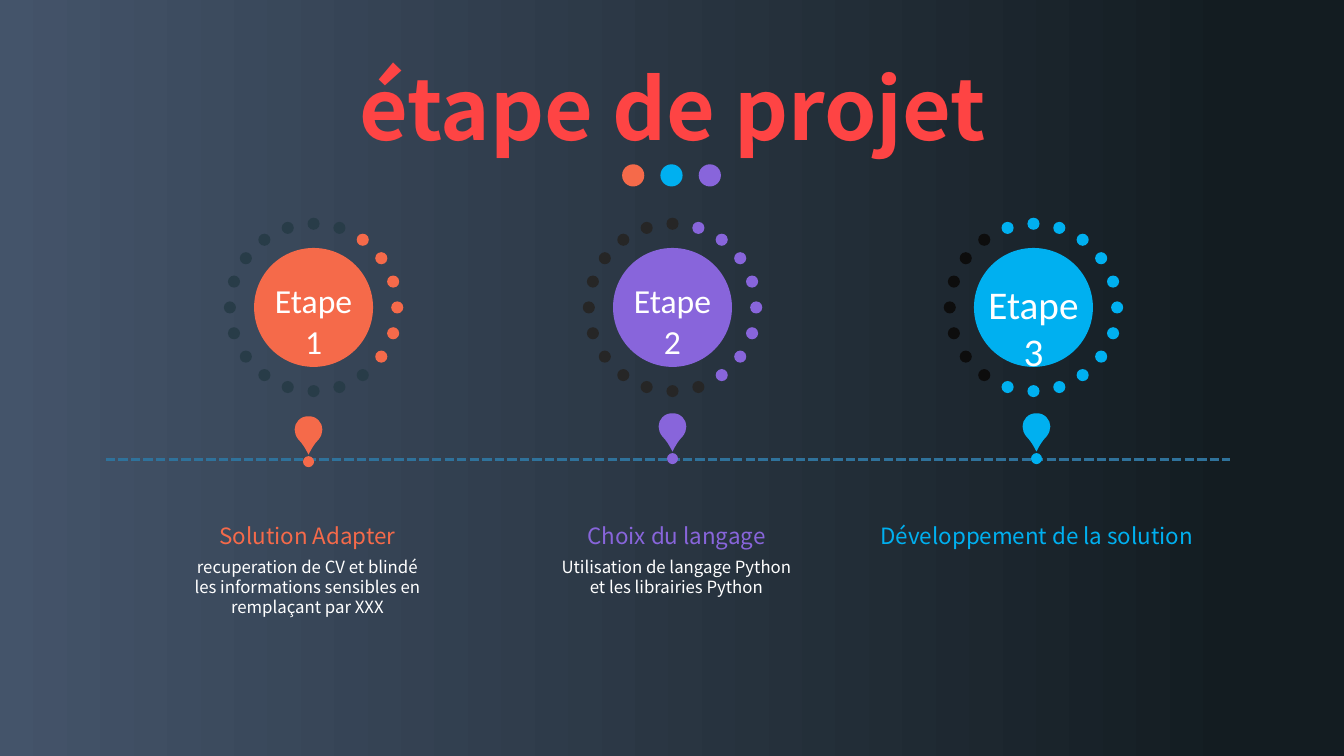
from dataclasses import dataclass
from math import cos, pi, sin

from lxml.etree import SubElement
from pptx import Presentation
from pptx.dml.color import RGBColor
from pptx.enum.dml import MSO_LINE
from pptx.enum.shapes import MSO_CONNECTOR, MSO_SHAPE
from pptx.enum.text import MSO_ANCHOR, MSO_AUTO_SIZE, PP_ALIGN
from pptx.oxml.ns import qn
from pptx.shapes.base import BaseShape
from pptx.slide import Slide
from pptx.util import Inches, Pt

ORANGE = RGBColor(0xF5, 0x6A, 0x4A)
BLUE = RGBColor(0x00, 0xB0, 0xF0)
PURPLE = RGBColor(0x88, 0x65, 0xDB)
RED = RGBColor(0xFE, 0x44, 0x44)
WHITE = RGBColor(0xFF, 0xFF, 0xFF)
SLATE = RGBColor(0x28, 0x3C, 0x48)
CHARCOAL = RGBColor(0x26, 0x26, 0x26)
BLACK = RGBColor(0x0D, 0x0D, 0x0D)
LINE_BLUE = RGBColor(0x2F, 0x72, 0x9B)
NIGHT = RGBColor(0x13, 0x1C, 0x21)
DUSK = RGBColor(0x44, 0x54, 0x6A)

HEADING_FONT = "Noto Sans CJK SC"
LABEL_FONT = "Calibri"

RING_DOTS = 20
RING_RADIUS = 0.83
RING_Y = 3.05

PIN_WIDTH = 0.27
PIN_HEIGHT = 0.38
PIN_LEFT_SIDE = [(0, 0), (-0.04, 0), (-0.07, 0.01), (-0.1, 0.04),
                 (-0.15, 0.09), (-0.15, 0.17), (-0.1, 0.23),
                 (-0.06, 0.27), (-0.03, 0.32), (0, 0.38)]
PIN_OUTLINE = PIN_LEFT_SIDE + [(-x, y) for x, y in PIN_LEFT_SIDE[-2::-1]]


@dataclass(frozen=True)
class Stage:
    label: str
    label_size: int
    label_width: float
    label_height: float
    heading: str
    heading_width: float
    details: str
    color: RGBColor
    idle_color: RGBColor
    active_dots: range
    ring_x: float
    pin_x: float
    pin_top: float
    text_x: float


STAGES = [
    Stage("Etape\n1", 24, 1.13, 0.5, "Solution Adapter", 2.26,
          "recuperation de CV et blindé les informations sensibles en remplaçant par XXX",
          ORANGE, SLATE, range(7, 13), 3.11, 3.06, 4.13, 3.05),
    Stage("Etape\n2", 24, 1.13, 0.5, "Choix du langage", 2.26,
          "Utilisation de langage Python et les librairies Python",
          PURPLE, CHARCOAL, range(6, 14), 6.67, 6.67, 4.1, 6.71),
    Stage("Etape\n3", 28, 1.28, 0.57, "Développement de la solution ", 3.5, "",
          BLUE, BLACK, range(4, 17), 10.25, 10.28, 4.1, 10.31),
]


def paint(shape: BaseShape, color: RGBColor) -> None:
    shape.shadow.inherit = False
    shape.fill.solid()
    shape.fill.fore_color.rgb = color
    shape.line.fill.background()


def add_circle(slide: Slide, x: float, y: float, diameter: float, color: RGBColor) -> None:
    circle = slide.shapes.add_shape(
        MSO_SHAPE.OVAL, Inches(x - diameter / 2), Inches(y - diameter / 2),
        Inches(diameter), Inches(diameter))
    paint(circle, color)


def add_text(slide: Slide, text: str, *, center: float, top: float, width: float,
             height: float, size: int, color: RGBColor, font: str = HEADING_FONT,
             bold: bool = False, wrap: bool = True, grow: bool = True,
             spacing: float | None = None, anchor: MSO_ANCHOR = MSO_ANCHOR.TOP) -> None:
    box = slide.shapes.add_textbox(
        Inches(center - width / 2), Inches(top), Inches(width), Inches(height))
    frame = box.text_frame
    frame.word_wrap = wrap
    frame.auto_size = MSO_AUTO_SIZE.SHAPE_TO_FIT_TEXT if grow else MSO_AUTO_SIZE.NONE
    frame.vertical_anchor = anchor
    paragraph = frame.paragraphs[0]
    paragraph.alignment = PP_ALIGN.CENTER
    paragraph.line_spacing = spacing
    for index, line in enumerate(text.split("\n")):
        if index:
            paragraph.add_line_break()
        run = paragraph.add_run()
        run.text = line
        run.font.name = font
        run.font.size = Pt(size)
        run.font.bold = bold
        run.font.color.rgb = color


def add_pin(slide: Slide, stage: Stage) -> None:
    left, right = stage.pin_x - PIN_WIDTH / 2, stage.pin_x + PIN_WIDTH / 2
    bottom = stage.pin_top + PIN_HEIGHT
    builder = slide.shapes.build_freeform(Inches(left), Inches(stage.pin_top))
    builder.add_line_segments(
        [(Inches(right), Inches(stage.pin_top)), (Inches(right), Inches(bottom)),
         (Inches(left), Inches(bottom))], close=True)
    pin = builder.convert_to_shape()
    outline = next(pin.element.iter(qn("a:path")))
    for segment in list(outline):
        outline.remove(segment)
    groups = [PIN_OUTLINE[:1]] + [PIN_OUTLINE[i:i + 3] for i in range(1, len(PIN_OUTLINE), 3)]
    for group in groups:
        tag = "a:moveTo" if len(group) == 1 else "a:cubicBezTo"
        segment = SubElement(outline, qn(tag))
        for x, y in group:
            SubElement(segment, qn("a:pt"), x=str(Inches(x + PIN_WIDTH / 2)), y=str(Inches(y)))
    SubElement(outline, qn("a:close"))
    paint(pin, stage.color)
    add_circle(slide, stage.pin_x, stage.pin_top + 0.45, 0.11, stage.color)


def add_ring(slide: Slide, stage: Stage) -> None:
    add_circle(slide, stage.ring_x, RING_Y, 1.18, stage.color)
    for index in range(RING_DOTS):
        angle = pi + index * 2 * pi / RING_DOTS
        color = stage.color if index in stage.active_dots else stage.idle_color
        add_circle(slide, stage.ring_x + RING_RADIUS * cos(angle),
                   RING_Y + RING_RADIUS * sin(angle), 0.12, color)
    add_text(slide, stage.label, center=stage.ring_x, top=2.73, width=stage.label_width,
             height=stage.label_height, size=stage.label_size, color=WHITE,
             font=LABEL_FONT, wrap=False)


def add_captions(slide: Slide, stage: Stage) -> None:
    if stage.details:
        add_text(slide, stage.details, center=stage.text_x, top=5.47, width=2.53,
                 height=0.71, size=12, color=WHITE)
    add_text(slide, stage.heading, center=stage.text_x, top=5.13,
             width=stage.heading_width, height=0.37, size=16, color=stage.color)


def add_timeline(slide: Slide) -> None:
    timeline = slide.shapes.add_connector(
        MSO_CONNECTOR.STRAIGHT, Inches(1.05), Inches(4.56), Inches(12.2), Inches(4.56))
    timeline.line.color.rgb = LINE_BLUE
    timeline.line.width = Pt(2.25)
    timeline.line.dash_style = MSO_LINE.SQUARE_DOT
    SubElement(timeline.element.spPr, qn("a:effectLst"))


def set_background(slide: Slide) -> None:
    fill = slide.background.fill
    fill.gradient()
    fill.gradient_angle = 180
    for stop, position, color in zip(fill.gradient_stops, (0.08, 1), (NIGHT, DUSK)):
        stop.position = position
        stop.color.rgb = color


def main() -> None:
    presentation = Presentation()
    presentation.slide_width = Inches(13.33)
    presentation.slide_height = Inches(7.5)
    slide = presentation.slides.add_slide(presentation.slide_layouts[6])
    set_background(slide)
    for index, color in enumerate((ORANGE, BLUE, PURPLE)):
        add_circle(slide, 6.28 + index * 0.38, 1.74, 0.22, color)
    add_text(slide, "étape de projet", center=6.67, top=0.4, width=11.5, height=1.45,
             size=60, color=RED, bold=True, grow=False, spacing=0.9,
             anchor=MSO_ANCHOR.MIDDLE)
    add_timeline(slide)
    for stage in STAGES:
        add_pin(slide, stage)
    for stage in reversed(STAGES):
        add_captions(slide, stage)
    for stage in STAGES:
        add_ring(slide, stage)
    presentation.save("out.pptx")


if __name__ == "__main__":
    main()
